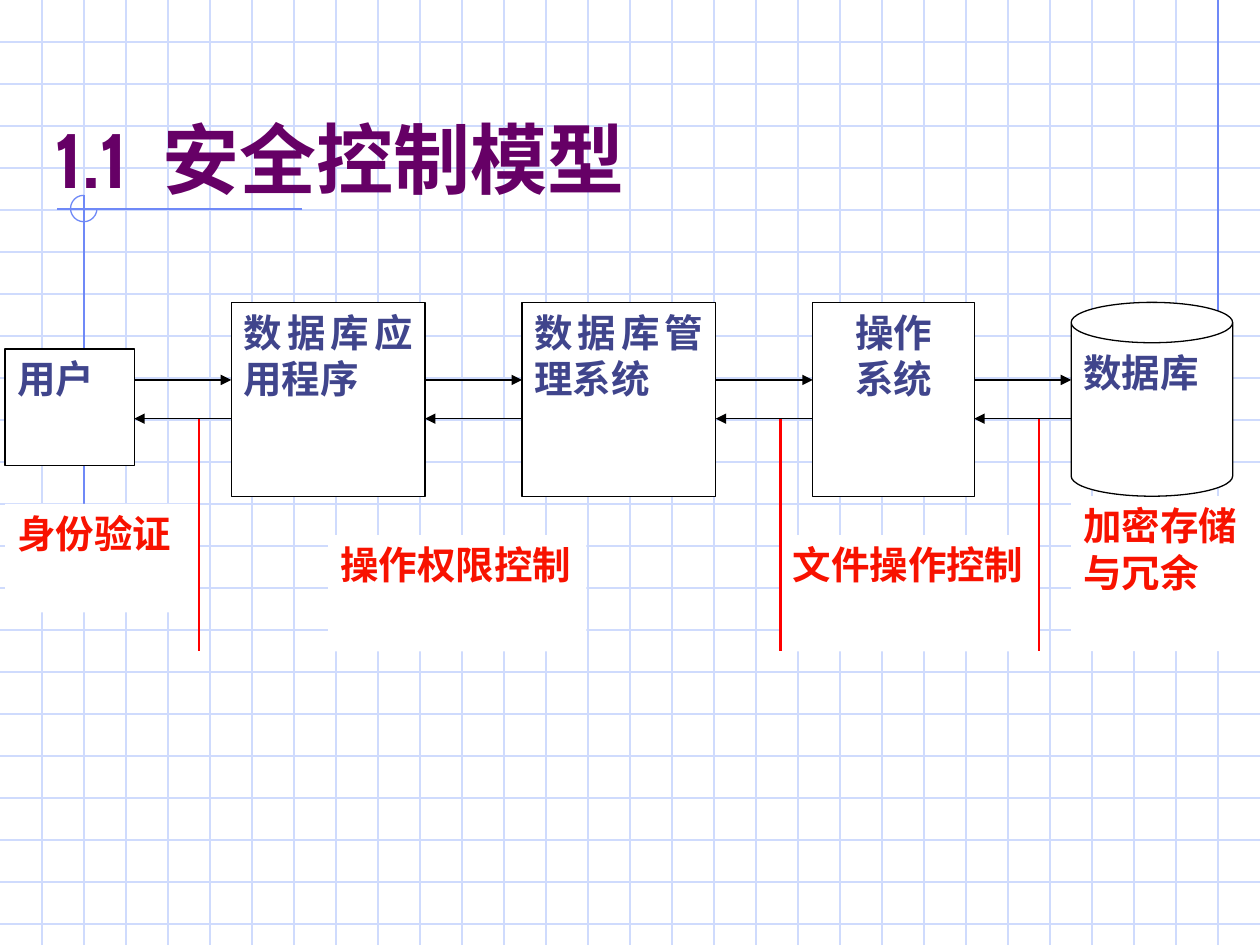
from pptx import Presentation
from pptx.dml.color import RGBColor
from pptx.enum.shapes import MSO_CONNECTOR, MSO_SHAPE
from pptx.enum.text import MSO_ANCHOR, PP_ALIGN
from pptx.oxml.ns import qn
from pptx.util import Inches, Pt
from lxml.etree import SubElement

THEME = {
    "grid": "CFDBFD", "accent": "6F89F7", "title": "660066", "paper": "FFFFFF",
    "ink": "000000", "component": "40458C", "control": "F81200", "boundary": "FF0000",
    "title_font": "Cabin", "body_font": "Times New Roman",
    "title_size": 44, "body_size": 22, "thin": 0.75, "thick": 1.5,
}
WIDTH, HEIGHT = 10, 7.5
CELL = 1 / 3
LEFT, TOP = 0.04, 2.4
COL, ROW = 10 / 39, 4 / 13

deck = Presentation()
deck.slide_width, deck.slide_height = Inches(WIDTH), Inches(HEIGHT)
slide = deck.slides.add_slide(deck.slide_layouts[6])


def draw_line(x1, y1, x2, y2, color, weight=THEME["thin"], arrow=False):
    line = slide.shapes.add_connector(
        MSO_CONNECTOR.STRAIGHT, Inches(x1), Inches(y1), Inches(x2), Inches(y2))
    line.line.color.rgb = RGBColor.from_string(THEME[color])
    line.line.width = Pt(weight)
    properties = line._element.spPr
    if arrow:
        SubElement(properties.find(qn("a:ln")), qn("a:tailEnd"), type="triangle")
    SubElement(properties, qn("a:effectLst"))


def add_run(paragraph, text, font, size, color):
    run = paragraph.add_run()
    run.text = text
    run.font.name = THEME[font]
    run.font.size = Pt(THEME[size])
    run.font.bold = True
    run.font.color.rgb = RGBColor.from_string(THEME[color])
    return run


for step in range(1, 23):
    draw_line(0, step * CELL, WIDTH, step * CELL, "grid")
for step in range(1, 30):
    draw_line(step * CELL, 0, step * CELL, HEIGHT, "grid")

draw_line(29 * CELL, 0, 29 * CELL, 2.58, "accent")
draw_line(2.4, 1.66, 0.45, 1.66, "accent")
draw_line(2 * CELL, 1.55, 2 * CELL, 4.09, "accent")
ring = slide.shapes.add_shape(
    MSO_SHAPE.ARC, Inches(0.56), Inches(1.55), Inches(0.21), Inches(0.21))
ring.adjustments[0], ring.adjustments[1] = 0, 162
ring.shadow.inherit = False
ring.fill.background()
ring.line.color.rgb = RGBColor.from_string(THEME["accent"])
ring.line.width = Pt(THEME["thin"])

heading = slide.shapes.add_textbox(
    Inches(CELL), Inches(2 * CELL), Inches(28 * CELL), Inches(3 * CELL)).text_frame
heading.word_wrap = True
heading.vertical_anchor = MSO_ANCHOR.BOTTOM
for part, spacing in [("1.1", 0), (" ", 1000), ("安全控制模型", 0)]:
    run = add_run(heading.paragraphs[0], part, "title_font", "title_size", "title")
    if spacing:
        run.font._element.set("spc", str(spacing))

RECT, CAN = MSO_SHAPE.RECTANGLE, MSO_SHAPE.CAN
JUSTIFY, CENTER = PP_ALIGN.JUSTIFY, PP_ALIGN.CENTER
blocks = [
    (24, 6, 8, 3, ["文件操作控制"], "control", RECT, JUSTIFY),
    (10, 6, 8, 3, ["操作权限控制"], "control", RECT, JUSTIFY),
    (0, 5.2, 6, 2.8, ["身份验证"], "control", RECT, JUSTIFY),
    (33, 5, 6, 4, ["加密存储", "与冗余"], "control", RECT, JUSTIFY),
    (0, 1.2, 4, 3, ["用户"], "component", RECT, JUSTIFY),
    (7, 0, 6, 5, ["数据库应用程序"], "component", RECT, JUSTIFY),
    (16, 0, 6, 5, ["数据库管理系统"], "component", RECT, JUSTIFY),
    (25, 0, 5, 5, ["操作", "系统"], "component", RECT, CENTER),
    (33, 0, 5, 5, ["数据库"], "component", CAN, JUSTIFY),
]
for col, row, cols, rows, words, role, outline, align in blocks:
    block = slide.shapes.add_shape(
        outline, Inches(LEFT + col * COL), Inches(TOP + row * ROW),
        Inches(cols * COL), Inches(rows * ROW))
    block.shadow.inherit = False
    block.fill.solid()
    block.fill.fore_color.rgb = RGBColor.from_string(THEME["paper"])
    if role == "component":
        block.line.color.rgb = RGBColor.from_string(THEME["ink"])
        block.line.width = Pt(THEME["thin"])
    else:
        block.line.fill.background()
    frame = block.text_frame
    frame.word_wrap = True
    frame.vertical_anchor = MSO_ANCHOR.TOP
    for index, word in enumerate(words):
        paragraph = frame.add_paragraph() if index else frame.paragraphs[0]
        paragraph.alignment = align
        add_run(paragraph, word, "body_font", "body_size", role)

request, reply, floor = (TOP + row * ROW for row in (2, 3, 9))
for col in (6, 24, 32):
    boundary = LEFT + col * COL
    draw_line(boundary, reply, boundary, floor, "boundary", THEME["thick"])

for col in (4, 13, 22, 30):
    start, end = LEFT + col * COL, LEFT + (col + 3) * COL
    draw_line(start, request, end, request, "ink", arrow=True)
    draw_line(end, reply, start, reply, "ink", arrow=True)

deck.save("out.pptx")
